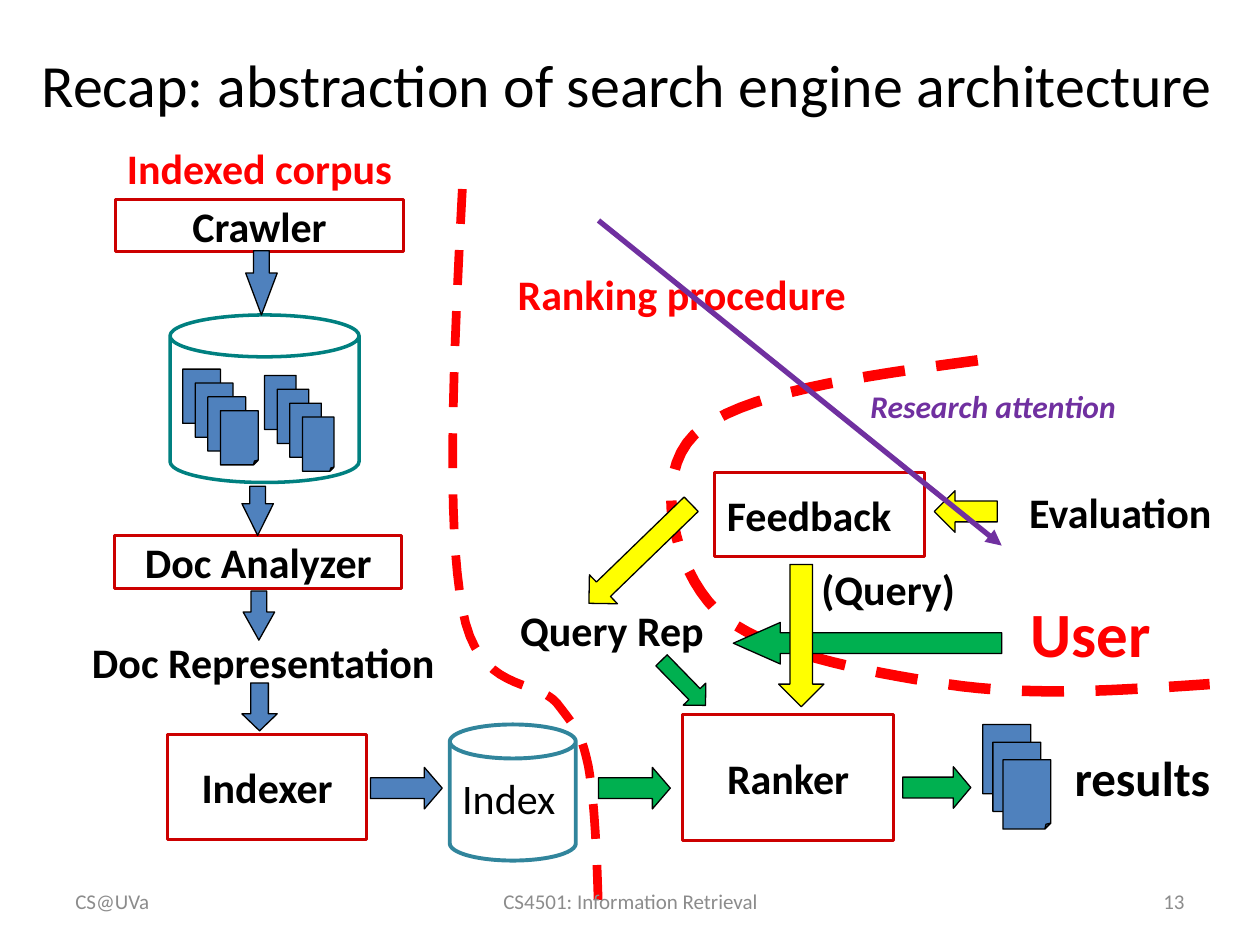
from dataclasses import dataclass

from lxml import etree
from pptx import Presentation
from pptx.dml.color import RGBColor
from pptx.enum.dml import MSO_LINE
from pptx.enum.shapes import MSO_CONNECTOR, MSO_SHAPE
from pptx.enum.text import MSO_ANCHOR, PP_ALIGN
from pptx.oxml.ns import qn
from pptx.util import Inches, Pt


@dataclass(frozen=True)
class Theme:
    font: str = "Calibri"
    black: str = "000000"
    red: str = "FF0000"
    box: str = "CC0000"
    blue: str = "4F81BD"
    green: str = "00B050"
    yellow: str = "FFFF00"
    purple: str = "7030A0"
    teal: str = "008080"
    aqua: str = "31859C"
    grey: str = "8C8C8C"
    title: float = 34.2
    user: float = 36
    results: float = 28
    body: float = 24
    note: float = 18
    footer: float = 12


T = Theme()
LEFT, CENTER, RIGHT = PP_ALIGN.LEFT, PP_ALIGN.CENTER, PP_ALIGN.RIGHT

prs = Presentation()
prs.slide_width, prs.slide_height = Inches(10), Inches(7.5)
s = prs.slides.add_slide(prs.slide_layouts[6])


def add_text(text, at, sp=None, size=T.body, color=T.black, bold=True, italic=False,
             align=LEFT, anchor=MSO_ANCHOR.TOP, wrap=True):
    """Write text into a shape, or into a new text box at the given place."""
    sp = sp or s.shapes.add_textbox(*map(Inches, at))
    tf = sp.text_frame
    tf.word_wrap, tf.vertical_anchor = wrap, anchor
    p = tf.paragraphs[0]
    p.alignment = align
    r = p.add_run()
    r.text = text
    r.font.name, r.font.size = T.font, Pt(size)
    r.font.bold, r.font.italic = bold, italic
    r.font.color.rgb = RGBColor.from_string(color)


def add_shape(kind, at, fill=None, line=T.black, width=0.75, rotation=0, **guides):
    """Add a preset shape; guides are its adjust values as fractions."""
    sp = s.shapes.add_shape(kind, *map(Inches, at))
    sp.shadow.inherit = False
    sp.rotation = rotation
    if guides:
        values = sp._element.spPr.find(qn("a:prstGeom")).find(qn("a:avLst"))
        values.clear()
        for name, value in guides.items():
            etree.SubElement(values, qn("a:gd"), name=name, fmla=f"val {round(value * 100000)}")
    if fill:
        sp.fill.solid()
        sp.fill.fore_color.rgb = RGBColor.from_string(fill)
    else:
        sp.fill.background()
    sp.line.color.rgb = RGBColor.from_string(line)
    sp.line.width = Pt(width)
    return sp


# Title
add_text("Recap: abstraction of search engine architecture", (0.08, 0.08, 9.79, 1.17),
         size=T.title, bold=False, align=CENTER, anchor=MSO_ANCHOR.MIDDLE)

# Component boxes
for text, at, align in [
    ("Crawler", (0.92, 1.58, 2.28, 0.42), CENTER),
    ("Doc Analyzer", (0.91, 4.25, 2.28, 0.42), CENTER),
    ("Indexer", (1.33, 5.83, 1.58, 0.83), CENTER),
    ("Ranker", (5.42, 5.67, 1.67, 1), CENTER),
    ("Feedback", (5.67, 3.75, 1.67, 0.67), LEFT),
]:
    box = add_shape(MSO_SHAPE.RECTANGLE, at, line=T.box, width=1.75)
    add_text(text, at, sp=box, align=align, anchor=MSO_ANCHOR.MIDDLE)

# Corpus and index stores
add_shape(MSO_SHAPE.CAN, (1.35, 2.5, 1.5, 1.33), line=T.teal, width=2, adj=0.25)
add_shape(MSO_SHAPE.CAN, (3.57, 5.75, 1, 1.08), line=T.aqua, width=2.25, adj=0.27)

# Stacks of pages: count, first corner, step, page size
for count, x, y, dx, dy, w, h in [
    (4, 1.45, 2.93, 0.1, 0.11, 0.3, 0.43),
    (4, 2.1, 2.98, 0.1, 0.11, 0.25, 0.43),
    (3, 7.8, 5.75, 0.08, 0.14, 0.38, 0.55),
]:
    for i in range(count):
        add_shape(MSO_SHAPE.FOLDED_CORNER, (x + i * dx, y + i * dy, w, h), T.blue, adj=0.125)

# Dashed borders between the parts, as chains of cubic curves
for width, points in [
    (5, [(3.67, 1.5), (3.6, 2.83), (3.54, 4.15), (3.67, 4.83), (3.79, 5.51), (4.25, 5.38),
         (4.42, 5.58), (4.58, 5.79), (4.61, 5.81), (4.67, 6.08), (4.72, 6.36), (4.74, 6.81),
         (4.75, 7.25)]),
    (6, [(7.76, 2.86), (6.81, 2.99), (5.86, 3.12), (5.51, 3.45), (5.17, 3.78), (5.35, 4.51),
         (5.68, 4.84), (6.01, 5.17), (6.86, 5.33), (7.51, 5.43), (8.17, 5.53), (8.88, 5.48),
         (9.6, 5.43)]),
]:
    steps = 16
    curve = []
    for k in range(0, len(points) - 1, 3):
        for t in (n / steps for n in range(1, steps + 1)):
            weights = ((1 - t) ** 3, 3 * t * (1 - t) ** 2, 3 * t * t * (1 - t), t ** 3)
            curve.append(tuple(
                Inches(sum(b * pt[axis] for b, pt in zip(weights, points[k:k + 4])))
                for axis in (0, 1)))
    builder = s.shapes.build_freeform(*map(Inches, points[0]))
    builder.add_line_segments(curve, close=False)
    border = builder.convert_to_shape()
    border.shadow.inherit = False
    border.fill.background()
    border.line.color.rgb = RGBColor.from_string(T.red)
    border.line.width = Pt(width)
    border.line.dash_style = MSO_LINE.DASH

# Block arrows: place before rotation, colour, head length, rotation
for at, fill, head, rotation in [
    ((1.95, 1.99, 0.25, 0.51), T.blue, 1.33, 0),
    ((1.92, 3.86, 0.25, 0.39), T.blue, 1.01, 0),
    ((1.93, 4.69, 0.25, 0.39), T.blue, 0.89, 0),
    ((1.92, 5.42, 0.28, 0.38), T.blue, 0.48, 0),
    ((3.06, 5.97, 0.33, 0.57), T.blue, 0.43, 270),
    ((4.87, 5.97, 0.33, 0.57), T.green, 0.43, 270),
    ((7.27, 5.98, 0.33, 0.54), T.green, 0.42, 270),
    ((5.3, 5.17, 0.25, 0.5), T.green, 0.5, 315.7),
    ((6.72, 4.04, 0.33, 2.13), T.green, 1.13, 90),
    ((7.5, 3.81, 0.33, 0.5), T.yellow, 0.5, 90),
    ((6.18, 4.48, 0.36, 1.13), T.yellow, 0.5, 0),
    ((4.92, 3.83, 0.32, 1.13), T.yellow, 0.5, 45.9),
]:
    add_shape(MSO_SHAPE.DOWN_ARROW, at, fill, rotation=rotation, adj1=0.5, adj2=head)

# Labels
add_text("Indexed corpus", (0.91, 1.08, 2.67, 0.5), color=T.red)
add_text("Ranking procedure", (4.01, 2.08, 3.01, 0.5), color=T.red)
add_text("User", (8.08, 4.67, 1.56, 0.7), size=T.user, color=T.red)
add_text("Doc Representation", (0.34, 5, 3.5, 0.5), align=CENTER)
add_text("Query Rep", (4.03, 4.75, 2.22, 0.5))
add_text("(Query)", (6.42, 4.42, 2.22, 0.5))
add_text("Evaluation", (8.07, 3.81, 1.67, 0.51), wrap=False)
add_text("Index", (3.57, 6.08, 0.96, 0.5), bold=False, wrap=False)
add_text("results", (8.43, 5.88, 1.3, 0.57), size=T.results, wrap=False)

# Research attention arrow
attention = s.shapes.add_connector(MSO_CONNECTOR.STRAIGHT, Inches(4.75), Inches(1.75),
                                   Inches(7.95), Inches(4.33))
attention.line.color.rgb = RGBColor.from_string(T.purple)
attention.line.width = Pt(3)
spPr = attention._element.spPr
etree.SubElement(spPr.find(qn("a:ln")), qn("a:tailEnd"), type="triangle")
etree.SubElement(spPr, qn("a:effectLst"))
add_text("Research attention", (6.81, 3.02, 2.92, 0.4), size=T.note, color=T.purple, italic=True)

# Footer
for text, x, w, align in [
    ("CS@UVa", 0.5, 2.33, LEFT),
    ("CS4501: Information Retrieval", 3.42, 3.17, CENTER),
    ("13", 7.17, 2.33, RIGHT),
]:
    add_text(text, (x, 6.95, w, 0.4), size=T.footer, color=T.grey, bold=False,
             align=align, anchor=MSO_ANCHOR.MIDDLE)

prs.save("out.pptx")
